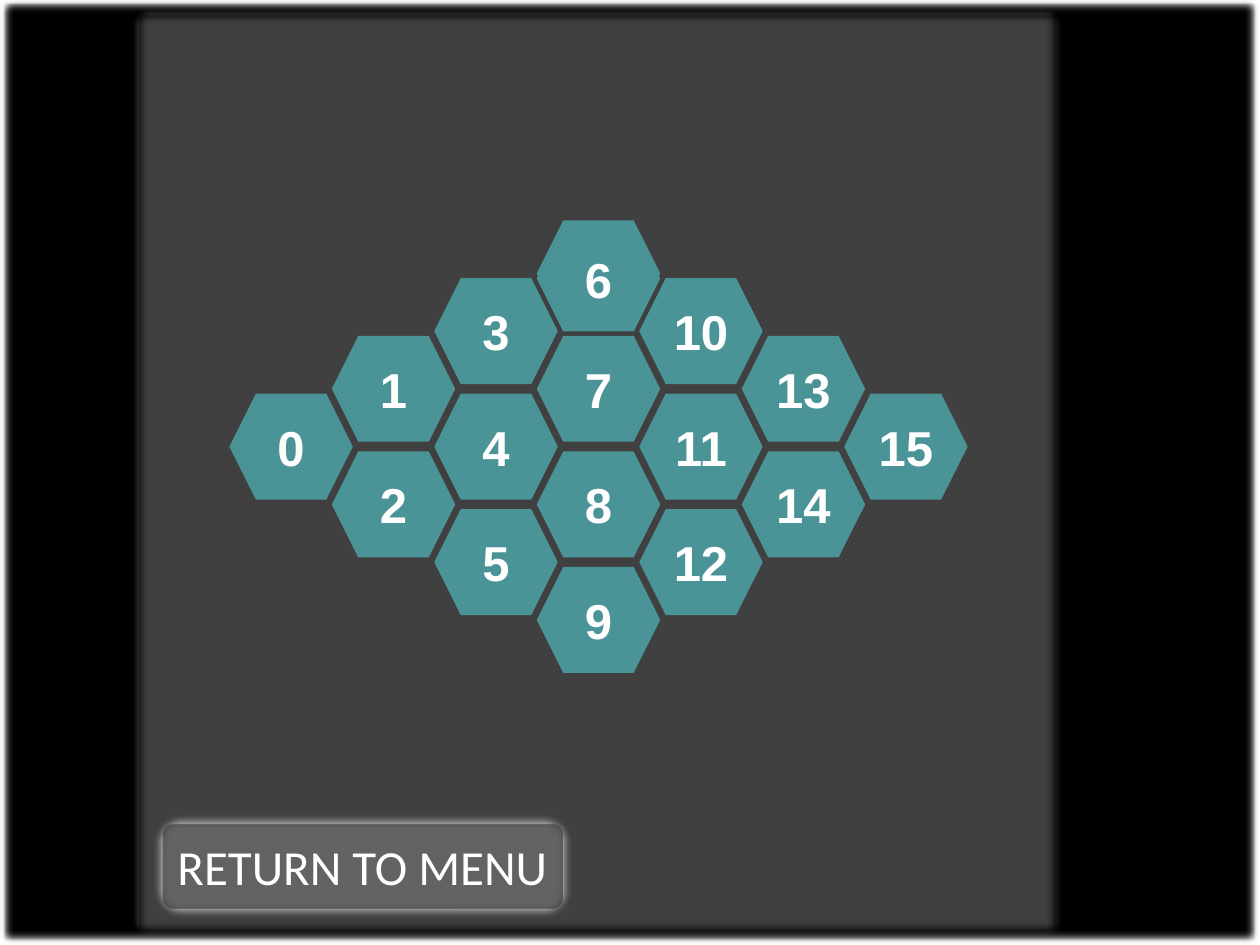
from pptx import Presentation
from pptx import util as u
from pptx.dml.color import RGBColor
from pptx.enum import shapes, text
from pptx.oxml.ns import qn
from lxml import etree

BLACK = RGBColor(0x00, 0x00, 0x00)
CHARCOAL = RGBColor(0x40, 0x40, 0x40)
GREY = RGBColor(0x80, 0x80, 0x80)
SILVER = RGBColor(0xBF, 0xBF, 0xBF)
TEAL = RGBColor(0x4A, 0x94, 0x98)
WHITE = RGBColor(0xFF, 0xFF, 0xFF)

SHAPE = shapes.MSO_SHAPE
COLUMN_SIZES = (1, 2, 3, 4, 3, 2, 1)
TILE_WIDTH = u.Inches(0.98)
TILE_HEIGHT = u.Inches(0.84)


def add_filled(parent, kind, box, fill):
    """Add a preset shape with a plain fill, no outline and no shadow."""
    shape = parent.add_shape(kind, *box)
    shape.shadow.inherit = False
    shape.fill.solid()
    shape.fill.fore_color.rgb = fill
    shape.line.fill.background()
    return shape


def add_soft_panel(page, kind, box, fill, line_width):
    """Add a silver-edged panel whose rim fades out."""
    panel = add_filled(page.shapes, kind, box, fill)
    panel.line.color.rgb = SILVER
    panel.line.width = u.Pt(line_width)
    effects = panel._element.spPr.find(qn("a:effectLst"))
    etree.SubElement(effects, qn("a:softEdge"), rad=str(u.Pt(5)))
    return panel


def set_label(shape, label, font_name, bold=False):
    """Write a centred white label in a shape."""
    frame = shape.text_frame
    frame.word_wrap = False
    frame.vertical_anchor = text.MSO_ANCHOR.MIDDLE
    para = frame.paragraphs[0]
    para.text = label
    para.alignment = text.PP_ALIGN.CENTER
    para.font.name = font_name
    para.font.size = u.Pt(28)
    para.font.bold = bold
    para.font.color.rgb = WHITE


def add_menu_button(page, box):
    """Add the translucent button that leads back to the menu."""
    button = add_soft_panel(page, SHAPE.ROUNDED_RECTANGLE, box, GREY, 6)
    color = button._element.spPr.find(qn("a:solidFill"))[0]
    etree.SubElement(color, qn("a:alpha"), val="56000")
    set_label(button, "RETURN TO MENU", "Calibri")


def add_honeycomb(page, box):
    """Fill a box with a diamond of hexagons numbered column by column."""
    left, top, width, height = box
    group = page.shapes.add_group_shape()
    column_step = (width - TILE_WIDTH) / (len(COLUMN_SIZES) - 1)
    row_step = (height - TILE_HEIGHT) / (max(COLUMN_SIZES) - 1)
    middle = top + (height - TILE_HEIGHT) / 2
    number = 0
    for column, size in enumerate(COLUMN_SIZES):
        x = int(left + column * column_step)
        for row in range(size):
            y = int(middle + (row - (size - 1) / 2) * row_step)
            tile_box = (x, y, TILE_WIDTH, TILE_HEIGHT)
            tile = add_filled(group.shapes, SHAPE.HEXAGON, tile_box, TEAL)
            if size == max(COLUMN_SIZES) and row == 0:
                lower_box = (x, y + u.Inches(0.04), TILE_WIDTH, TILE_HEIGHT)
                tile = add_filled(group.shapes, SHAPE.HEXAGON, lower_box, TEAL)
            set_label(tile, str(number), "Arial", bold=True)
            number += 1


def inches(*lengths):
    """Turn plain numbers into lengths."""
    return tuple(u.Inches(length) for length in lengths)


def main():
    """Build the slide and save the deck."""
    deck = Presentation()
    deck.slide_width, deck.slide_height = inches(10, 7.5)
    page = deck.slides.add_slide(deck.slide_layouts[6])
    add_soft_panel(page, SHAPE.RECTANGLE, inches(0, 0, 10, 7.5), BLACK, 4.5)
    add_soft_panel(page, SHAPE.RECTANGLE, inches(1.07, 0.08, 7.35, 7.35), CHARCOAL, 4.5)
    add_menu_button(page, inches(1.25, 6.5, 3.25, 0.75))
    add_honeycomb(page, inches(1.82, 1.75, 5.86, 3.59))
    deck.save("out.pptx")


if __name__ == "__main__":
    main()
